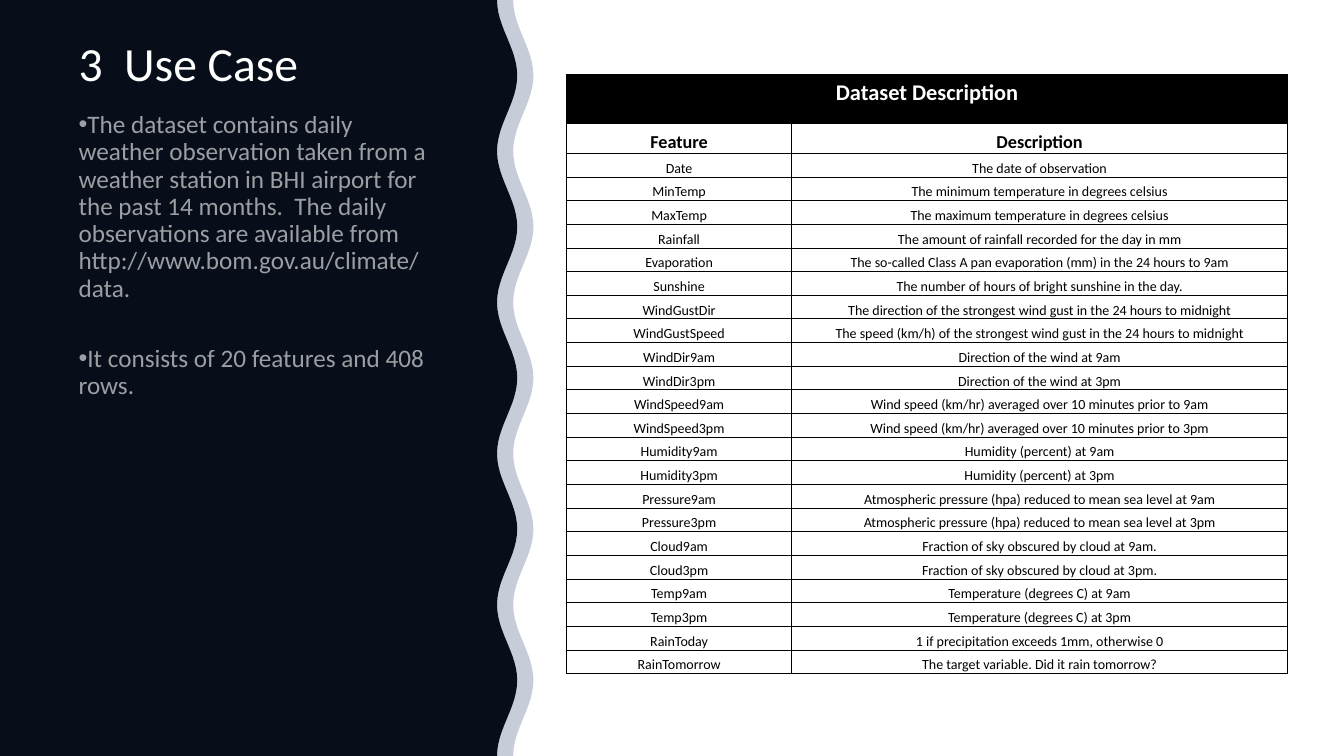
from dataclasses import dataclass
from math import cos, pi

from lxml.etree import SubElement as Sub
from pptx import Presentation
from pptx.dml.color import RGBColor as RGB
from pptx.enum.text import MSO_ANCHOR as ANCHOR, MSO_AUTO_SIZE as FIT, PP_ALIGN as ALIGN
from pptx.oxml.ns import qn
from pptx.util import Inches, Pt


@dataclass(frozen=True)
class Theme:
    font: str = "Calibri"
    black: RGB = RGB(0x00, 0x00, 0x00)
    white: RGB = RGB(0xFF, 0xFF, 0xFF)
    navy: RGB = RGB(0x20, 0x38, 0x64)
    title: Pt = Pt(34)
    body: Pt = Pt(18)
    banner: Pt = Pt(16)
    heading: Pt = Pt(13)
    cell: Pt = Pt(10)
    border: Pt = Pt(0.5)


THEME = Theme()

TITLE = "3  Use Case"
POINTS = [
    "The dataset contains daily weather observation taken from a weather station in BHI airport "
    "for the past 14 months.  The daily observations are available from "
    "http://www.bom.gov.au/climate/data.",
    "It consists of 20 features and 408 rows.",
]
BANNER = "Dataset Description"
HEADINGS = ("Feature", "Description")
FEATURES = [
    ("Date", "The date of observation"),
    ("MinTemp", "The minimum temperature in degrees celsius"),
    ("MaxTemp", "The maximum temperature in degrees celsius"),
    ("Rainfall", "The amount of rainfall recorded for the day in mm"),
    ("Evaporation", "The so-called Class A pan evaporation (mm) in the 24 hours to 9am"),
    ("Sunshine", "The number of hours of bright sunshine in the day."),
    ("WindGustDir", "The direction of the strongest wind gust in the 24 hours to midnight"),
    ("WindGustSpeed", "The speed (km/h) of the strongest wind gust in the 24 hours to midnight"),
    ("WindDir9am", "Direction of the wind at 9am"),
    ("WindDir3pm", "Direction of the wind at 3pm"),
    ("WindSpeed9am", "Wind speed (km/hr) averaged over 10 minutes prior to 9am"),
    ("WindSpeed3pm", "Wind speed (km/hr) averaged over 10 minutes prior to 3pm"),
    ("Humidity9am", "Humidity (percent) at 9am"),
    ("Humidity3pm", "Humidity (percent) at 3pm"),
    ("Pressure9am", "Atmospheric pressure (hpa) reduced to mean sea level at 9am"),
    ("Pressure3pm", "Atmospheric pressure (hpa) reduced to mean sea level at 3pm"),
    ("Cloud9am", "Fraction of sky obscured by cloud at 9am."),
    ("Cloud3pm", "Fraction of sky obscured by cloud at 3pm."),
    ("Temp9am", "Temperature (degrees C) at 9am"),
    ("Temp3pm", "Temperature (degrees C) at 3pm"),
    ("RainToday", "1 if precipitation exceeds 1mm, otherwise 0"),
    ("RainTomorrow", "The target variable. Did it rain tomorrow?"),
]


def apply(target, formats):
    for attribute, value in formats.items():
        setattr(target, attribute, value)


def set_alpha(fill_parent, percent):
    color = next(fill_parent.iter(qn("a:srgbClr")))
    Sub(color, qn("a:alpha"), val=str(percent * 1000))


def write(paragraph, text, size, color, bold=False):
    """Fill a paragraph with one formatted run and return the run."""
    run = paragraph.add_run()
    run.text = text
    apply(run.font, {"name": THEME.font, "size": size, "bold": bold})
    run.font.color.rgb = color
    return run


def place(placeholder, box):
    """Move a placeholder to its box and return its top-anchored text frame."""
    apply(placeholder, dict(zip(("left", "top", "width", "height"), map(Inches, box))))
    apply(placeholder.text_frame, {
        "word_wrap": True, "auto_size": FIT.NONE, "vertical_anchor": ANCHOR.TOP,
    })
    return placeholder.text_frame


def add_wavy_panel(slide, box, color, alpha=100):
    """Panel whose right edge is a wave, kept behind the title."""
    left, top, width, height = box
    amplitude, period, steps = 0.1, 1.5, 120
    middle = left + width - amplitude
    edge = []
    for step in range(steps + 1):
        drop = height * step / steps
        edge.append((Inches(middle - amplitude * cos(2 * pi * drop / period)),
                     Inches(top + drop)))
    outline = slide.shapes.build_freeform(Inches(left), Inches(top))
    outline.add_line_segments(edge + [(Inches(left), Inches(top + height))])
    panel = outline.convert_to_shape()
    panel.shadow.inherit = False
    panel.fill.solid()
    panel.fill.fore_color.rgb = color
    panel.line.fill.background()
    if alpha < 100:
        set_alpha(panel.element.spPr, alpha)
    slide.shapes.title.element.addprevious(panel.element)


def add_use_case(slide, box):
    """Title with the bullet list below it."""
    left, top, width, height = box
    title_height = 0.71
    spacing = {"alignment": ALIGN.LEFT, "line_spacing": 0.9,
               "space_before": Pt(0), "space_after": Pt(6)}

    # Title
    heading = place(slide.shapes.title, (left, top, width, title_height)).paragraphs[0]
    apply(heading, spacing)
    write(heading, TITLE, THEME.title, THEME.white)

    # Bullets
    points = place(slide.placeholders[1],
                   (left, top + title_height, width, height - title_height))
    for index, text in enumerate(POINTS):
        point = points.add_paragraph() if index else points.paragraphs[0]
        apply(point, spacing | {"space_before": Pt(25 * index)})
        run = write(point, text, THEME.body, THEME.white)
        set_alpha(run.font._element, 60)
        properties = point._p.get_or_add_pPr()
        properties.set("marL", "0")
        properties.set("indent", str(-Inches(0.25)))
        Sub(properties, qn("a:buFont"), typeface="Arial")
        Sub(properties, qn("a:buChar"), char="•")


def add_borders(cell):
    properties = cell._tc.get_or_add_tcPr()
    for side in ("L", "R", "T", "B"):
        line = Sub(properties, qn(f"a:ln{side}"), w=str(THEME.border))
        Sub(Sub(line, qn("a:solidFill")), qn("a:srgbClr"), val=str(THEME.black))


def add_feature_table(slide, box):
    """Banner row, heading row and one equal row per feature."""
    left, top, width, height = box
    banner_height, heading_height, feature_width = 0.48, 0.3, 2.23
    row_height = (height - banner_height - heading_height) / len(FEATURES)
    rows = [(BANNER, ""), HEADINGS, *FEATURES]
    heights = [banner_height, heading_height] + [row_height] * len(FEATURES)

    table = slide.shapes.add_table(len(rows), 2, *map(Inches, box)).table
    apply(table, {"first_row": False, "horz_banding": False})
    for column, column_width in zip(table.columns, (feature_width, width - feature_width)):
        column.width = Inches(column_width)
    table.cell(0, 0).merge(table.cell(0, 1))

    tight = {"vertical_anchor": ANCHOR.BOTTOM, "margin_left": Inches(0.01),
             "margin_right": Inches(0.01), "margin_top": Inches(0.01), "margin_bottom": 0}
    sizes = {0: THEME.banner, 1: THEME.heading}
    for index, texts in enumerate(rows):
        table.rows[index].height = Inches(heights[index])
        is_banner = index == 0
        for cell, text in zip(table.rows[index].cells, texts):
            add_borders(cell)
            if is_banner:
                cell.fill.solid()
                cell.fill.fore_color.rgb = THEME.black
            else:
                cell.fill.background()
                apply(cell, tight)
            if text:
                paragraph = cell.text_frame.paragraphs[0]
                paragraph.alignment = ALIGN.CENTER
                write(paragraph, text, sizes.get(index, THEME.cell),
                      THEME.white if is_banner else THEME.black, bold=index < 2)


def main():
    deck = Presentation()
    apply(deck, {"slide_width": Inches(13.33), "slide_height": Inches(7.5)})
    slide = deck.slides.add_slide(deck.slide_layouts[1])

    # Dark wavy background with its pale edge
    add_wavy_panel(slide, (0, 0, 5.13, 7.5), THEME.black)
    add_wavy_panel(slide, (0, 0, 5.29, 7.5), THEME.navy, alpha=25)

    # Left text and right table
    add_use_case(slide, (0.68, 0.35, 3.7, 6.02))
    add_feature_table(slide, (5.62, 0.74, 7.15, 5.95))

    deck.save("out.pptx")


if __name__ == "__main__":
    main()
